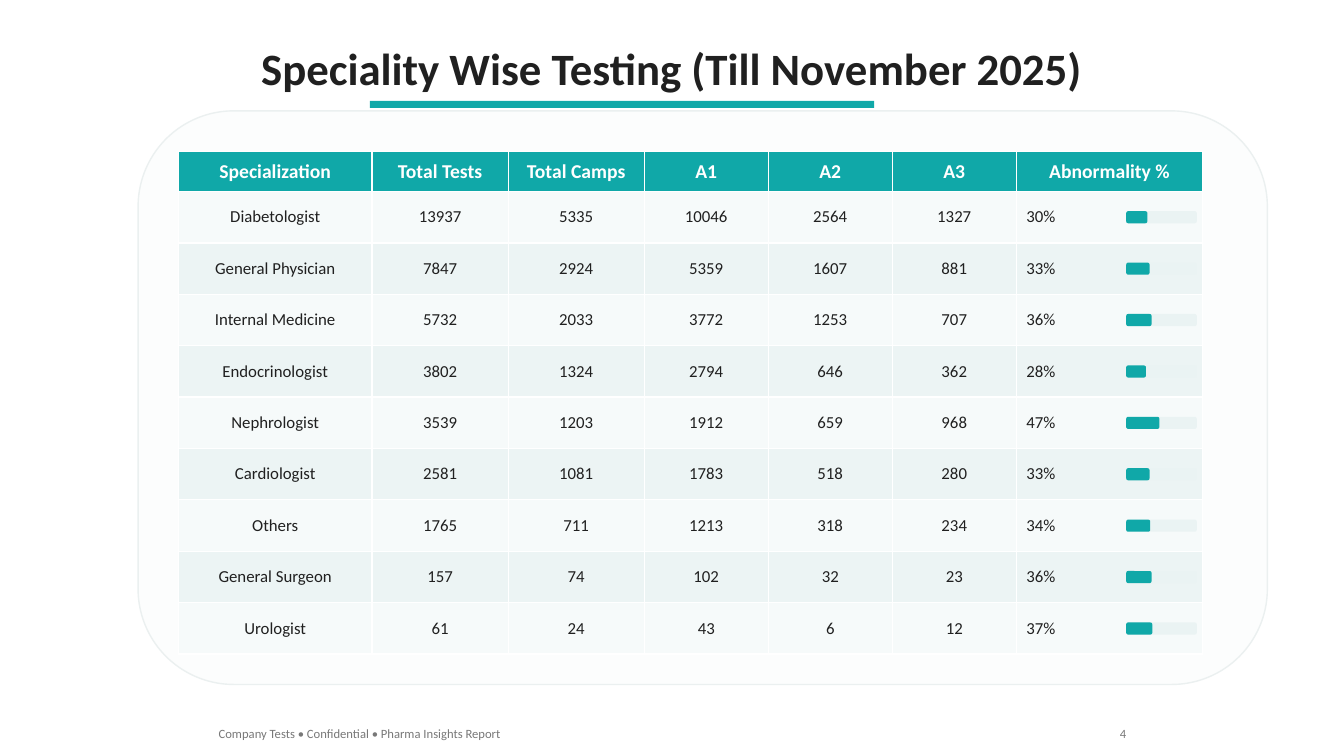
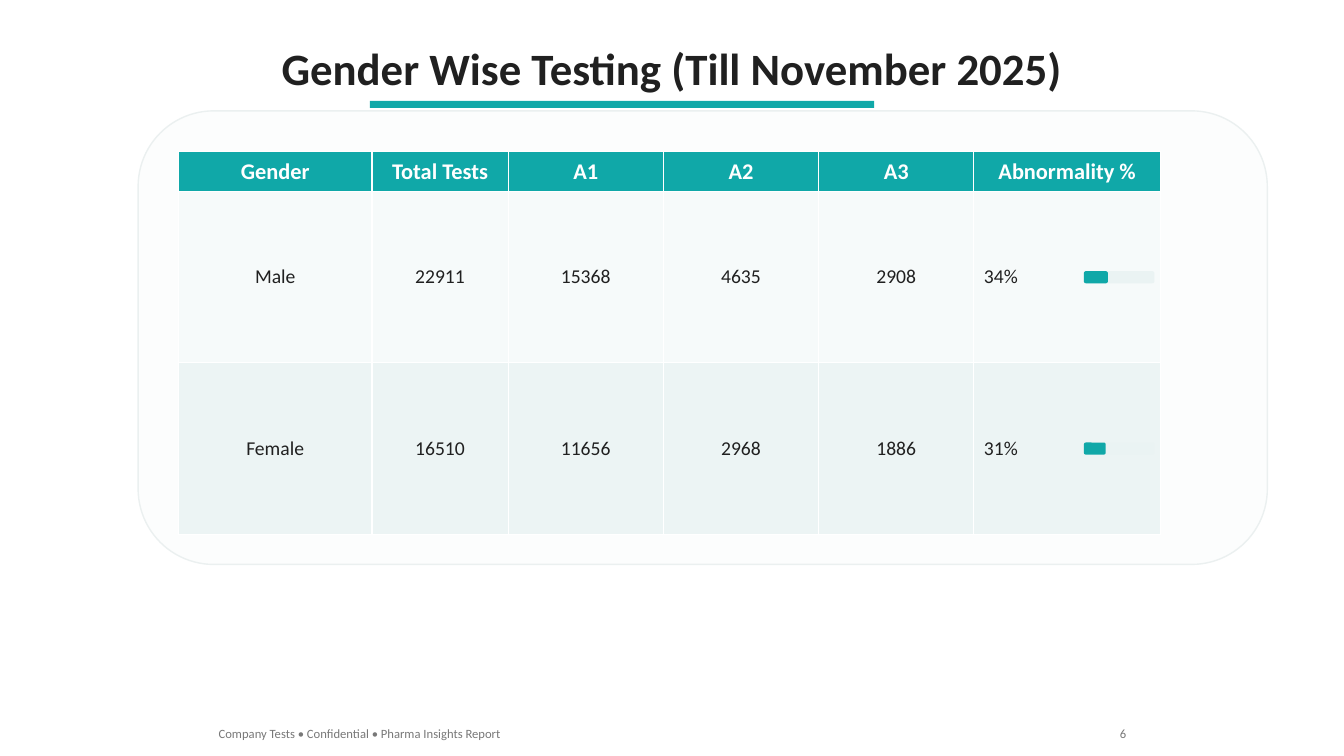
"""Build two testing summary slides, each a table with abnormality bars."""
from dataclasses import dataclass

from pptx import Presentation
from pptx.dml.color import RGBColor
from pptx.enum.shapes import MSO_SHAPE
from pptx.enum.text import MSO_ANCHOR, MSO_AUTO_SIZE, PP_ALIGN
from pptx.util import Inches, Pt


@dataclass(frozen=True)
class Theme:
    font: str = "Calibri"
    background: str = "FFFFFF"
    accent: str = "10A8A8"
    ink: str = "202020"
    muted: str = "787878"
    panel: str = "FCFDFD"
    panel_edge: str = "EBF0F0"
    track: str = "EAF3F3"
    bands: tuple = ("F6FAFA", "ECF4F4")
    title_size: int = 32
    footer_size: int = 9


THEME = Theme()
SLIDE_W, SLIDE_H = 13.33, 7.5
TABLE_LEFT, TABLE_TOP, HEADER_H = 1.77, 1.5, 0.4
PANEL_LEFT, PANEL_W, PANEL_TOP, PANEL_BOTTOM_GAP = 1.37, 11.2, 1.1, 0.3
BAR_W, BAR_H, BAR_GAP = 0.7, 0.12, 0.06
FOOTER_TOP, FOOTER_H = 7.15, 0.25
FOOTER = "Company Tests • Confidential • Pharma Insights Report"

REPORTS = [
    {
        "title": "Speciality Wise Testing (Till November 2025)",
        "title_width": 8.43,
        "page": 4,
        "columns": [("Specialization", 1.92), ("Total Tests", 1.35), ("Total Camps", 1.35),
                    ("A1", 1.23), ("A2", 1.23), ("A3", 1.23), ("Abnormality %", 1.85)],
        "row_height": 0.51,
        "header_size": 14,
        "body_size": 12,
        "rows": [
            ("Diabetologist", 13937, 5335, 10046, 2564, 1327, 30),
            ("General Physician", 7847, 2924, 5359, 1607, 881, 33),
            ("Internal Medicine", 5732, 2033, 3772, 1253, 707, 36),
            ("Endocrinologist", 3802, 1324, 2794, 646, 362, 28),
            ("Nephrologist", 3539, 1203, 1912, 659, 968, 47),
            ("Cardiologist", 2581, 1081, 1783, 518, 280, 33),
            ("Others", 1765, 711, 1213, 318, 234, 34),
            ("General Surgeon", 157, 74, 102, 32, 23, 36),
            ("Urologist", 61, 24, 43, 6, 12, 37),
        ],
    },
    {
        "title": "Gender Wise Testing (Till November 2025)",
        "title_width": 8.02,
        "page": 6,
        "columns": [("Gender", 1.92), ("Total Tests", 1.35), ("A1", 1.54),
                    ("A2", 1.54), ("A3", 1.54), ("Abnormality %", 1.85)],
        "row_height": 1.7,
        "header_size": 16,
        "body_size": 14,
        "rows": [
            ("Male", 22911, 15368, 4635, 2908, 34),
            ("Female", 16510, 11656, 2968, 1886, 31),
        ],
    },
]


def rgb(color):
    return RGBColor.from_string(color)


def write(frame, text, size, color, align, bold=False):
    paragraph = frame.paragraphs[0]
    paragraph.alignment = align
    run = paragraph.add_run()
    run.text = text
    run.font.name = THEME.font
    run.font.size = Pt(size)
    run.font.bold = bold
    run.font.color.rgb = rgb(color)


def add_label(slide, box, text, size, color, align, bold=False):
    frame = slide.shapes.add_textbox(*map(Inches, box)).text_frame
    frame.word_wrap = False
    frame.auto_size = MSO_AUTO_SIZE.SHAPE_TO_FIT_TEXT
    write(frame, text, size, color, align, bold)


def add_block(slide, preset, box, fill, edge=None):
    block = slide.shapes.add_shape(preset, *map(Inches, box))
    block.shadow.inherit = False
    block.fill.solid()
    block.fill.fore_color.rgb = rgb(fill)
    if edge:
        block.line.color.rgb = rgb(edge)
        block.line.width = Pt(1)
    else:
        block.line.fill.background()


def fill_cell(cell, text, size, color, fill, align, bold=False):
    cell.fill.solid()
    cell.fill.fore_color.rgb = rgb(fill)
    cell.vertical_anchor = MSO_ANCHOR.MIDDLE
    write(cell.text_frame, text, size, color, align, bold)


def add_results(slide, report, width, height):
    columns, rows = report["columns"], report["rows"]
    box = (TABLE_LEFT, TABLE_TOP, width, height)
    results = slide.shapes.add_table(len(rows) + 1, len(columns), *map(Inches, box)).table
    results.rows[0].height = Inches(HEADER_H)
    for index, (heading, column_width) in enumerate(columns):
        results.columns[index].width = Inches(column_width)
        fill_cell(results.cell(0, index), heading, report["header_size"],
                  THEME.background, THEME.accent, PP_ALIGN.CENTER, True)
    for number, (*values, percent) in enumerate(rows, 1):
        results.rows[number].height = Inches(report["row_height"])
        band = THEME.bands[(number - 1) % len(THEME.bands)]
        for index, value in enumerate([*values, f"{percent}%"]):
            align = PP_ALIGN.CENTER if index < len(values) else PP_ALIGN.LEFT
            fill_cell(results.cell(number, index), str(value), report["body_size"],
                      THEME.ink, band, align)


def add_bars(slide, report, table_width):
    left = TABLE_LEFT + table_width - BAR_GAP - BAR_W
    for index, row in enumerate(report["rows"]):
        middle = TABLE_TOP + HEADER_H + (index + 0.5) * report["row_height"]
        for share, color in ((1, THEME.track), (row[-1] / 100, THEME.accent)):
            add_block(slide, MSO_SHAPE.ROUNDED_RECTANGLE,
                      (left, middle - BAR_H / 2, BAR_W * share, BAR_H), color)


def add_report(deck, report):
    slide = deck.slides.add_slide(deck.slide_layouts[6])
    slide.background.fill.solid()
    slide.background.fill.fore_color.rgb = rgb(THEME.background)
    width = sum(column_width for _, column_width in report["columns"])
    height = HEADER_H + len(report["rows"]) * report["row_height"]
    panel_height = TABLE_TOP + height + PANEL_BOTTOM_GAP - PANEL_TOP
    title_width = report["title_width"]

    add_label(slide, ((SLIDE_W - title_width) / 2, 0.35, title_width, 0.64),
              report["title"], THEME.title_size, THEME.ink, PP_ALIGN.CENTER, True)
    add_block(slide, MSO_SHAPE.RECTANGLE, (3.67, 1, 5, 0.07), THEME.accent)
    add_block(slide, MSO_SHAPE.ROUNDED_RECTANGLE,
              (PANEL_LEFT, PANEL_TOP, PANEL_W, panel_height), THEME.panel, THEME.panel_edge)
    add_results(slide, report, width, height)
    add_bars(slide, report, width)
    for left, label_width, text, align in (
        (2.07, 3.05, FOOTER, PP_ALIGN.LEFT),
        (11, 0.27, str(report["page"]), PP_ALIGN.RIGHT),
    ):
        add_label(slide, (left, FOOTER_TOP, label_width, FOOTER_H), text,
                  THEME.footer_size, THEME.muted, align)


def main():
    deck = Presentation()
    deck.slide_width, deck.slide_height = Inches(SLIDE_W), Inches(SLIDE_H)
    for report in REPORTS:
        add_report(deck, report)
    deck.save("out.pptx")


if __name__ == "__main__":
    main()
